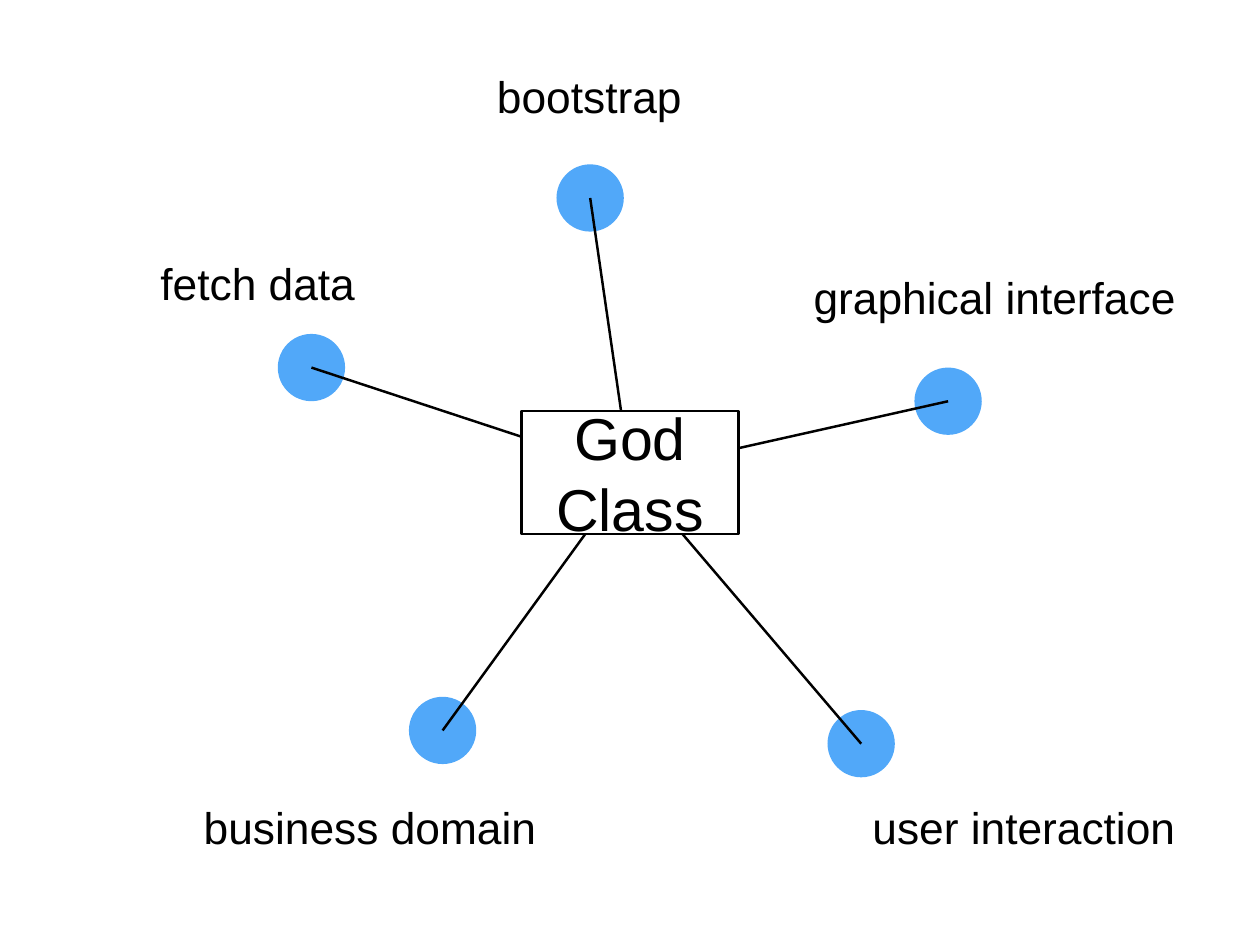
from dataclasses import dataclass

import pptx
import pptx.dml.color
import pptx.enum.shapes
import pptx.enum.text
import pptx.oxml.ns
import pptx.util
from lxml import etree

Inches, Pt = pptx.util.Inches, pptx.util.Pt
RGB = pptx.dml.color.RGBColor.from_string
SHAPE = pptx.enum.shapes.MSO_SHAPE


@dataclass(frozen=True)
class Theme:
    """Colours, font and sizes of the slide."""
    ink: str = "000000"
    paper: str = "FFFFFF"
    dot: str = "51A8F9"
    font: str = "Arial"
    label_size: int = 36
    hub_size: int = 48
    line_width: int = 2
    inset: float = 0.06


@dataclass(frozen=True)
class Box:
    """An area in inches whose points are given in percent of its sides."""
    left: float
    top: float
    width: float
    height: float

    def point(self, x, y):
        """Return the slide position of a point of the box."""
        return (Inches(self.left + self.width * x / 100),
                Inches(self.top + self.height * y / 100))

    def around(self, centre, width, height):
        """Return left, top, width and height of a part about its centre."""
        x, y = self.point(*centre)
        w = Inches(self.width * width / 100)
        h = Inches(self.height * height / 100)
        return x - w // 2, y - h // 2, w, h


THEME = Theme()
SLIDE = Box(0, 0, 14.22, 10.67)

HUB_LINES = ("God", "Class")
HUB_CENTRE = (50, 50)
HUB_SIZE = (17.23, 13.03)
DOT_DIAMETER = 0.76
LABEL_HEIGHT = 6.65

# Duty, centre of its dot, centre of its label, width of its label
DUTIES = (
    ("bootstrap", (46.84, 20.95), (46.77, 10.17), 15.9),
    ("graphical interface", (75.25, 42.46), (78.94, 31.44), 30.45),
    ("user interaction", (68.35, 78.7), (81.26, 87.49), 25.11),
    ("business domain", (35.13, 77.3), (29.36, 87.49), 27.64),
    ("fetch data", (24.72, 38.9), (20.46, 29.94), 16.74),
)


def write(sp, lines, size, wrap):
    """Write centred lines of text into a shape."""
    tf = sp.text_frame
    tf.word_wrap = wrap
    tf.vertical_anchor = pptx.enum.text.MSO_ANCHOR.MIDDLE
    tf.margin_left = tf.margin_right = Inches(THEME.inset)
    tf.margin_top = tf.margin_bottom = Inches(THEME.inset)
    p = tf.paragraphs[0]
    p.alignment = pptx.enum.text.PP_ALIGN.CENTER
    for i, line in enumerate(lines):
        if i:
            p.add_line_break()
        r = p.add_run()
        r.text = line
        r.font.name = THEME.font
        r.font.size = Pt(size)
        r.font.color.rgb = RGB(THEME.ink)


def add_label(s, box, text, centre, width):
    """Add the name of one duty."""
    sp = s.shapes.add_textbox(*box.around(centre, width, LABEL_HEIGHT))
    write(sp, [text], THEME.label_size, wrap=False)
    sp.text_frame.auto_size = pptx.enum.text.MSO_AUTO_SIZE.SHAPE_TO_FIT_TEXT


def add_dot(s, box, centre):
    """Add the round node of one duty."""
    x, y = box.point(*centre)
    d = Inches(DOT_DIAMETER)
    sp = s.shapes.add_shape(SHAPE.OVAL, x - d // 2, y - d // 2, d, d)
    sp.shadow.inherit = False
    sp.fill.solid()
    sp.fill.fore_color.rgb = RGB(THEME.dot)
    sp.line.fill.background()


def add_spoke(s, box, centre):
    """Join the hub's centre to the centre of a dot."""
    line = s.shapes.add_connector(
        pptx.enum.shapes.MSO_CONNECTOR.STRAIGHT,
        *box.point(*HUB_CENTRE), *box.point(*centre))
    line.line.color.rgb = RGB(THEME.ink)
    line.line.width = Pt(THEME.line_width)
    etree.SubElement(line._element.spPr, pptx.oxml.ns.qn("a:effectLst"))


def add_hub(s, box):
    """Add the central class, which covers the inner ends of the spokes."""
    sp = s.shapes.add_shape(SHAPE.RECTANGLE, *box.around(HUB_CENTRE, *HUB_SIZE))
    sp.shadow.inherit = False
    sp.fill.solid()
    sp.fill.fore_color.rgb = RGB(THEME.paper)
    sp.line.color.rgb = RGB(THEME.ink)
    sp.line.width = Pt(THEME.line_width)
    write(sp, HUB_LINES, THEME.hub_size, wrap=True)


def add_duty_map(s, box):
    """Place the hub and its duties in the box, from back to front."""
    for text, dot, label, width in DUTIES:
        add_label(s, box, text, label, width)
        add_dot(s, box, dot)
        add_spoke(s, box, dot)
    add_hub(s, box)


def main():
    """Build the one-slide deck."""
    prs = pptx.Presentation()
    prs.slide_width = Inches(SLIDE.width)
    prs.slide_height = Inches(SLIDE.height)
    s = prs.slides.add_slide(prs.slide_layouts.get_by_name("Blank"))
    s.background.fill.solid()
    s.background.fill.fore_color.rgb = RGB(THEME.paper)
    add_duty_map(s, SLIDE)
    prs.save("out.pptx")


main()
